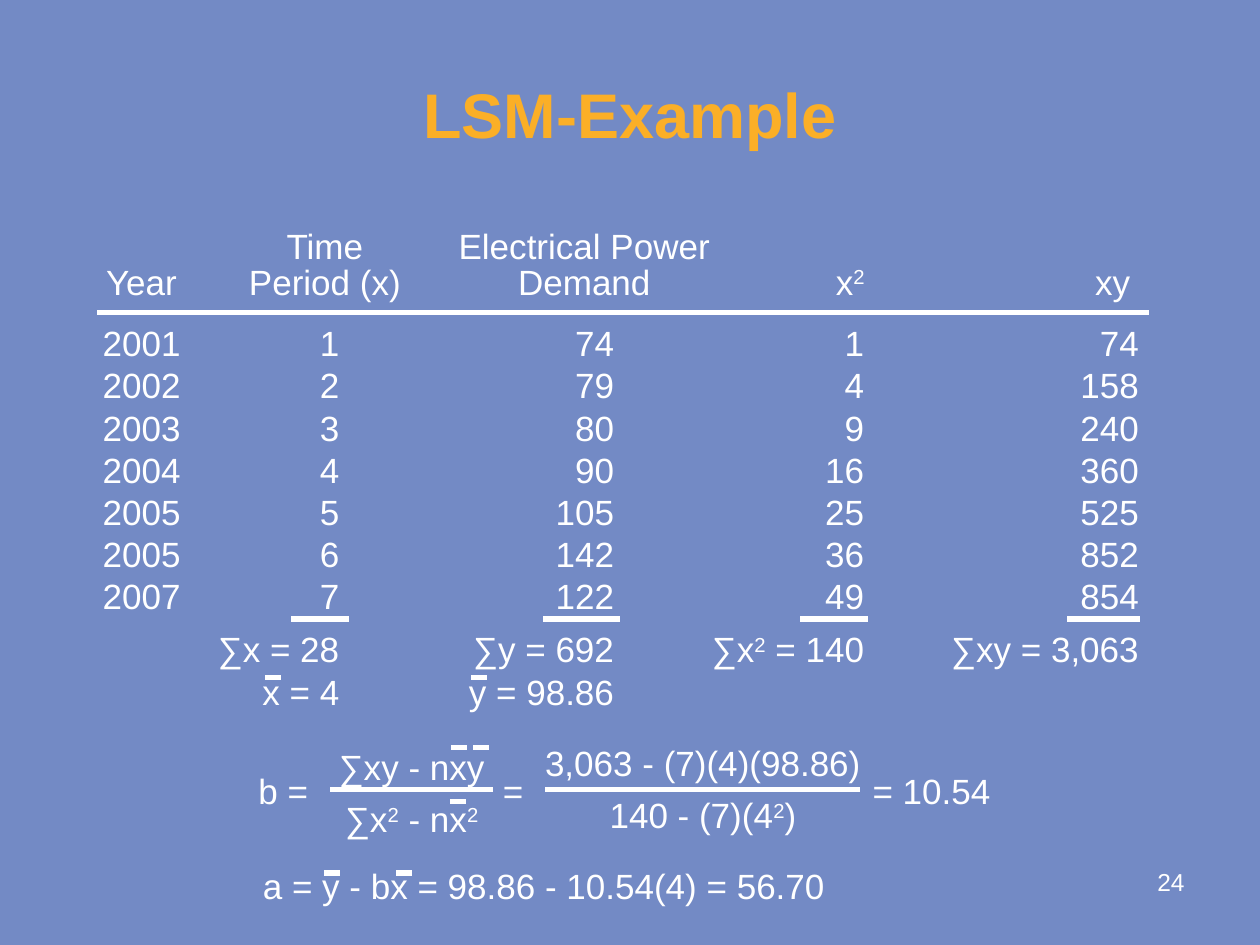
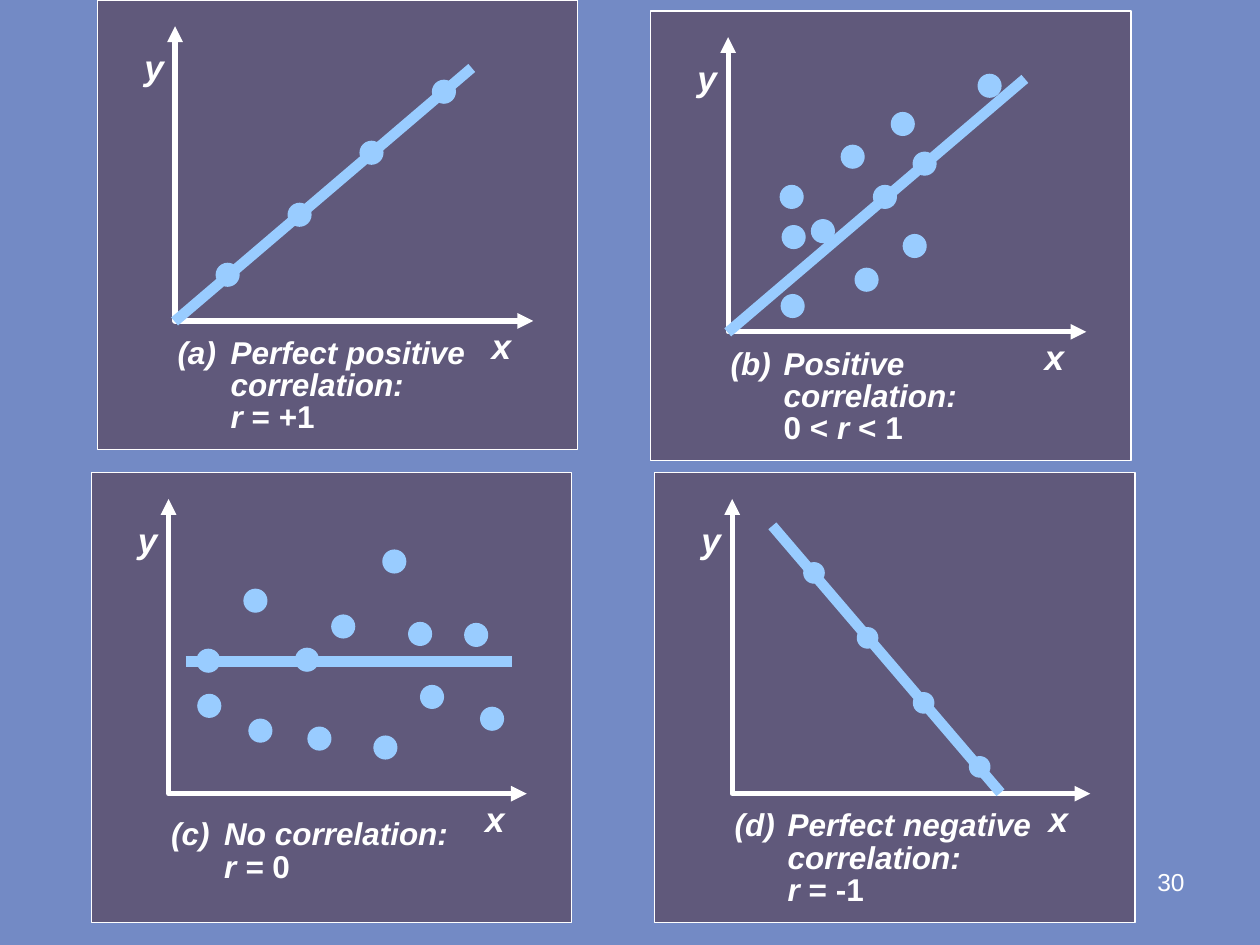
from itertools import pairwise

from lxml import etree
from pptx import Presentation
from pptx.dml.color import RGBColor
from pptx.enum.shapes import MSO_CONNECTOR as Connector, MSO_SHAPE as Preset
from pptx.enum.text import MSO_ANCHOR as Anchor, PP_ALIGN as Align
from pptx.oxml.ns import qn
from pptx.util import Cm, Pt

COLORS = {
    "background": "738AC5",
    "title": "FBAF27",
    "text": "FFFFFF",
    "panel": "60597B",
    "data": "99CCFF",
}
FONT = "Arial"
PLAIN_TABLE_STYLE = "{2D5ABB26-0587-4C30-8999-92F81FD0307C}"

# Least squares table, lengths in cm
COLUMN_EDGES = [1.96, 3.75, 9.19, 14.33, 19.05, 23.16]
HEADER_CENTERS = [2.85, 6.55, 11.78, 17.14, 22.43]
NUMBER_EDGES = [None, 6.84, 12.38, 17.42, 22.96]
HEADERS = ["Year", "Time\nPeriod (x)", "Electrical Power\nDemand", "x^2^", "xy"]
YEARS = [2001, 2002, 2003, 2004, 2005, 2005, 2007]
DEMAND = [74, 79, 80, 90, 105, 142, 122]
XY_PRODUCTS = [74, 158, 240, 360, 525, 852, 854]
TOTALS = ["", "∑x = 28", "∑y = 692", "∑x^2^ = 140", "∑xy = 3,063"]
MEANS = ["", "x = 4", "y = 98.86", "", ""]
HEADER_HEIGHT, ROW_HEIGHT, TOTAL_HEIGHT = 1.87, 0.85, 1.07

# Scatter panels: origin, caption, trend line and dot centres inside the panel
PANEL_WIDTH, PANEL_HEIGHT = 9.68, 9.07
RISING = [(1.55, 6.48), (7.54, 1.37)]
PANELS = [
    dict(left=1.97, top=0, caption="(a)\tPerfect positive correlation:\nr ^= +1^",
         trend=RISING,
         dots=[(2.62, 5.54), (4.07, 4.33), (5.52, 3.08), (6.98, 1.85)]),
    dict(left=13.12, top=0.22, caption="(b)\tPositive correlation:\n^0 <^ r ^< 1^",
         trend=RISING,
         dots=[(6.83, 1.51), (5.08, 2.28), (4.07, 2.94), (5.52, 3.08),
               (2.84, 3.75), (4.72, 3.75), (3.47, 4.44), (2.88, 4.56),
               (5.32, 4.74), (4.35, 5.42), (2.86, 5.95)]),
    dict(left=1.84, top=9.53, caption="(c)\tNo correlation:\nr =^ 0^",
         caption_top=6.88, trend=[(1.9, 3.81), (8.48, 3.81)],
         dots=[(6.11, 1.79), (3.31, 2.58), (5.08, 3.1), (6.63, 3.25),
               (7.76, 3.27), (2.36, 3.79), (4.35, 3.77), (2.38, 4.7),
               (6.87, 4.52), (3.41, 5.2), (4.6, 5.36), (5.93, 5.54),
               (8.08, 4.96)]),
    dict(left=13.2, top=9.53, caption="(d)\tPerfect negative correlation:\nr ^= -1^",
         trend=[(2.37, 1.07), (6.97, 6.45)], dot_size=0.41,
         dots=[(3.21, 2.02), (4.29, 3.33), (5.42, 4.64), (6.55, 5.93)]),
]


def color(name):
    return RGBColor.from_string(COLORS[name])


def set_font(para, size, name="text", bold=False, italic=False):
    font = para.font
    font.name, font.size, font.bold, font.italic = FONT, Pt(size), bold, italic
    font.color.rgb = color(name)


def superscript(span):
    span._r.get_or_add_rPr().set("baseline", "30000")


def upright(span):
    span.font.italic = False


def add_spans(para, text, restyle=superscript):
    """Write text; the parts between carets are restyled."""
    for index, part in enumerate(text.split("^")):
        if part:
            span = para.add_run()
            span.text = part
            if index % 2:
                restyle(span)


def add_text(page, left, top, width, height, lines, size=20,
             align=Align.LEFT, spacing=None, **style):
    box = page.shapes.add_textbox(Cm(left), Cm(top), Cm(width), Cm(height))
    frame = box.text_frame
    frame.word_wrap = True
    for index, line in enumerate(lines):
        para = frame.add_paragraph() if index else frame.paragraphs[0]
        para.alignment = align
        if spacing:
            para.line_spacing = spacing
        set_font(para, size, **style)
        add_spans(para, line)


def add_line(page, start, end, name="text", width=3):
    line = page.shapes.add_connector(
        Connector.STRAIGHT, *(Cm(value) for value in (*start, *end)))
    line.line.color.rgb = color(name)
    line.line.width = Pt(width)
    etree.SubElement(line._element.spPr, qn("a:effectLst"))


def add_rule(page, left, right, top):
    add_line(page, (left, top), (right, top))


def add_mean_bar(page, left, top):
    add_rule(page, left, left + 0.32, top)


def add_shape(page, preset, left, top, width, height, fill, outline):
    shape = page.shapes.add_shape(preset, Cm(left), Cm(top), Cm(width), Cm(height))
    shape.shadow.inherit = False
    shape.fill.solid()
    shape.fill.fore_color.rgb = color(fill)
    shape.line.color.rgb = color(outline)
    shape.line.width = Pt(0.75)


def add_page_number(page, number):
    add_text(page, 21.39, 17.35, 2.74, 1.32, [str(number)], 14, Align.RIGHT)


def add_title(page, text):
    title = page.shapes.title
    title.left, title.top, title.width, title.height = (
        Cm(1.27), Cm(0.76), Cm(22.86), Cm(3.05))
    title.text_frame.vertical_anchor = Anchor.MIDDLE
    title.text_frame.text = text
    para = title.text_frame.paragraphs[0]
    para.alignment = Align.CENTER
    set_font(para, 36, "title", bold=True)


def fill_cell(cell, text, column, is_header):
    left, right = COLUMN_EDGES[column:column + 2]
    pad_left = pad_right = 0
    align = Align.CENTER
    if is_header:
        # Shift the centre of the cell to the centre of the heading
        shift = left + right - 2 * HEADER_CENTERS[column]
        pad_left, pad_right = max(-shift, 0), max(shift, 0)
    elif column:
        align = Align.RIGHT
        pad_right = right - NUMBER_EDGES[column]
    cell.margin_left, cell.margin_right = Cm(pad_left), Cm(pad_right)
    cell.margin_top, cell.margin_bottom = 0, Cm(0.4 if is_header else 0)
    cell.vertical_anchor = Anchor.BOTTOM
    cell.fill.background()
    for index, line in enumerate(text.split("\n")):
        frame = cell.text_frame
        para = frame.add_paragraph() if index else frame.paragraphs[0]
        para.alignment = align
        if is_header:
            para.line_spacing = 0.9
        set_font(para, 20)
        add_spans(para, line)


def add_data_table(page, top):
    data = [[str(value) for value in (year, x, y, x * x, xy)]
            for x, (year, y, xy) in enumerate(zip(YEARS, DEMAND, XY_PRODUCTS), 1)]
    rows = [HEADERS, *data, TOTALS, MEANS]
    heights = [HEADER_HEIGHT, *[ROW_HEIGHT] * len(data), TOTAL_HEIGHT, ROW_HEIGHT]
    left, right = COLUMN_EDGES[0], COLUMN_EDGES[-1]
    table = page.shapes.add_table(len(rows), len(HEADERS), Cm(left), Cm(top),
                                  Cm(right - left), Cm(sum(heights))).table
    table.first_row = table.horz_banding = False
    table._tbl.tblPr.find(qn("a:tableStyleId")).text = PLAIN_TABLE_STYLE
    for column, (start, end) in zip(table.columns, pairwise(COLUMN_EDGES)):
        column.width = Cm(end - start)
    for index, (texts, height) in enumerate(zip(rows, heights)):
        table.rows[index].height = Cm(height)
        for column, text in enumerate(texts):
            fill_cell(table.cell(index, column), text, column, index == 0)

    # Rules under the heading and the columns, bars over the means
    add_rule(page, left, right, top + 1.68)
    for start, end in [(5.87, 7.04), (10.95, 12.5), (16.13, 17.5), (21.51, 22.99)]:
        add_rule(page, start, end, top + 7.86)
    for start in (5.34, 9.5):
        add_mean_bar(page, start, top + 9.04)


def add_fraction(page, center, top, width, line_top, parts):
    add_text(page, center - width / 2 - 0.5, top, width + 1, 2.39, parts,
             align=Align.CENTER, spacing=1.25)
    add_rule(page, center - width / 2, center + width / 2, line_top)


def add_slope_formula(page, top):
    for left, text in [(4.96, "b ="), (9.89, "="), (17.34, "= 10.54")]:
        add_text(page, left, top, 4, 1.12, [text])
    add_fraction(page, 8.3, top - 0.69, 3.28, top + 0.53,
                 ["∑xy - nxy", "∑x^2^ - nx^2^"])
    add_fraction(page, 14.17, top - 0.77, 6.35, top + 0.53,
                 ["3,063 - (7)(4)(98.86)", "140 - (7)(4^2^)"])
    for left, drop in [(9.09, -0.31), (9.54, -0.31), (9.07, 0.78)]:
        add_mean_bar(page, left, top + drop)


def add_intercept_formula(page, top):
    add_text(page, 5.05, top, 13, 1.12, ["a = y - bx = 98.86 - 10.54(4) = 56.70"])
    for left in (6.53, 7.99):
        add_mean_bar(page, left, top + 0.3)


def add_axes(page, left, top):
    points = [(left + x, top + y) for x, y in [(1.56, 0.53), (1.56, 6.47), (8.78, 6.47)]]
    corners = [(Cm(x), Cm(y)) for x, y in points]
    builder = page.shapes.build_freeform(*corners[0])
    builder.add_line_segments(corners[1:], close=False)
    axes = builder.convert_to_shape()
    axes.shadow.inherit = False
    axes.fill.background()
    axes.line.color.rgb = color("text")
    axes.line.width = Pt(3)
    for end in ("a:headEnd", "a:tailEnd"):
        etree.SubElement(axes.line._get_or_add_ln(), qn(end), type="triangle")


def add_caption(page, left, top, text):
    box = page.shapes.add_textbox(Cm(left), Cm(top), Cm(6.96), Cm(2.2))
    box.text_frame.word_wrap = True
    para = box.text_frame.paragraphs[0]
    para.line_spacing = 0.85
    properties = para._p.get_or_add_pPr()
    properties.set("marL", str(Cm(1.07)))
    properties.set("indent", str(-Cm(1.07)))
    set_font(para, 18, bold=True, italic=True)
    heading, formula = text.split("\n")
    add_spans(para, heading)
    para.add_line_break()
    add_spans(para, formula, upright)


def add_scatter_panel(page, left, top, caption, trend, dots,
                      caption_top=6.7, dot_size=0.46):
    add_shape(page, Preset.RECTANGLE, left, top, PANEL_WIDTH, PANEL_HEIGHT,
              "panel", "text")
    add_axes(page, left, top)
    start, end = [(left + x, top + y) for x, y in trend]
    add_line(page, start, end, "data", 6)
    for x, y in dots:
        add_shape(page, Preset.OVAL, left + x - dot_size / 2, top + y - dot_size / 2,
                  dot_size, dot_size, "data", "data")
    for label, x, y in [("y", 0.69, 0.79), ("x", 7.69, 6.42)]:
        add_text(page, left + x, top + y, 0.95, 1.12, [label], bold=True, italic=True)
    add_caption(page, left + 1.36, top + caption_top, caption)


def build_example_page(deck):
    page = deck.slides.add_slide(deck.slide_layouts[5])
    add_title(page, "LSM-Example")
    add_data_table(page, 4.62)
    add_slope_formula(page, 15.38)
    add_intercept_formula(page, 17.3)
    add_page_number(page, 24)


def build_correlation_page(deck):
    page = deck.slides.add_slide(deck.slide_layouts[6])
    for panel in PANELS:
        add_scatter_panel(page, **panel)
    add_page_number(page, 30)


def main():
    deck = Presentation()
    deck.slide_width, deck.slide_height = Cm(25.4), Cm(19.05)
    background = deck.slide_master.background.fill
    background.solid()
    background.fore_color.rgb = color("background")
    build_example_page(deck)
    build_correlation_page(deck)
    deck.save("out.pptx")


if __name__ == "__main__":
    main()
